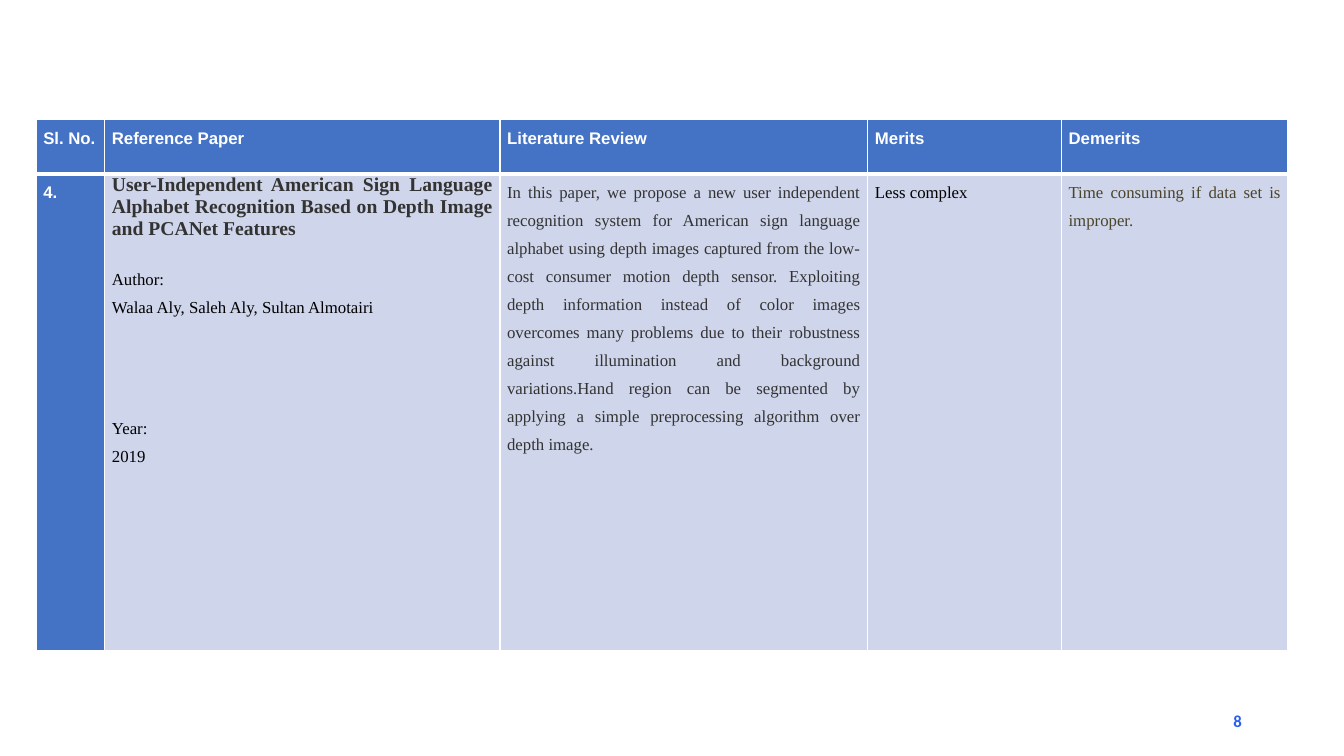
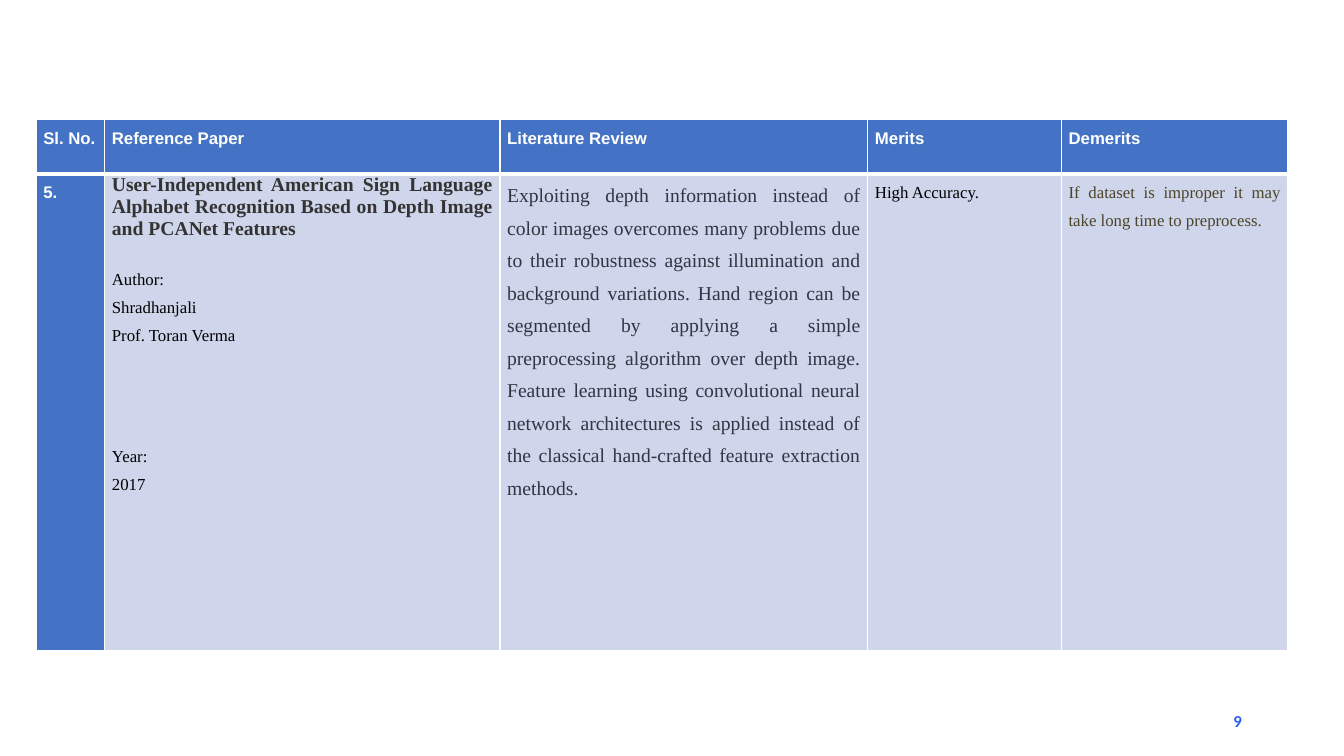
from lxml.etree import SubElement
from pptx import Presentation
from pptx.dml.color import RGBColor
from pptx.enum.text import MSO_ANCHOR as Anchor, PP_ALIGN as Align
from pptx.oxml.ns import qn
from pptx.util import Cm, Pt

BLUE, PALE, WHITE = "4472C4", "CFD5EA", "FFFFFF"
BLACK, GRAY, SLATE, OLIVE, PAGE_BLUE = "000000", "333333", "2E3743", "4A442A", "2B5FF3"
SANS, SERIF, PAGE_FONT = "Arial", "Times New Roman", "Calibri"
HEADINGS = ["Sl. No.", "Reference Paper", "Literature Review", "Merits", "Demerits"]
COLUMNS = [1.73, 9.96, 9.27, 4.88, 5.71]
ROWS = [1.37, 12]
TABLE_BOX = (0.91, 3.02, sum(COLUMNS), sum(ROWS))
PAGE_BOX = (23.93, 17.65, 7.62, 1.02)
PAPER = ("User-Independent American Sign Language Alphabet Recognition "
         "Based on Depth Image and PCANet Features")

REVIEWS = [
    dict(page="8", number="4.", paper=PAPER,
         authors=["Walaa Aly, Saleh Aly, Sultan Almotairi"], year="2019",
         review="In this paper, we propose a new user independent recognition system for "
                "American sign language alphabet using depth images captured from the low-cost "
                "consumer motion depth sensor. Exploiting depth information instead of color "
                "images overcomes many problems due to their robustness against illumination and "
                "background variations.Hand region can be segmented by applying a simple "
                "preprocessing algorithm over depth image.",
         review_format=dict(color=GRAY),
         merits="Less complex", demerits="Time consuming if data set is improper."),
    dict(page="9", number="5.", paper=PAPER,
         authors=["Shradhanjali", "Prof. Toran Verma"], year="2017",
         review="Exploiting depth information instead of color images overcomes many problems "
                "due to their robustness against illumination and background variations. Hand "
                "region can be segmented by applying a simple preprocessing algorithm over depth "
                "image. Feature learning using convolutional neural network architectures is "
                "applied instead of the classical hand-crafted feature extraction methods.",
         review_format=dict(color=SLATE, size=14),
         merits="High Accuracy.",
         demerits="If dataset is improper it may take long time to preprocess."),
]


def rgb(value):
    return RGBColor.from_string(value)


def write(frame, text, size=12, font=SERIF, color=BLACK, bold=False,
          align=Align.JUSTIFY, spacing=1.5, before=0):
    first = frame.paragraphs[0]
    line = frame.add_paragraph() if first.runs else first
    line.alignment = align
    line.line_spacing = spacing
    if before:
        line.space_before = Pt(before)
    run = line.add_run()
    run.text = text
    run.font.size = Pt(size)
    run.font.name = font
    run.font.bold = bold
    run.font.color.rgb = rgb(color)


def style_cell(cell, fill, **borders):
    cell.margin_left = cell.margin_right = Cm(0.18)
    cell.margin_top = cell.margin_bottom = 0
    cell.fill.solid()
    cell.fill.fore_color.rgb = rgb(fill)
    properties = cell._tc.get_or_add_tcPr()
    for place, side in enumerate("LRTB"):
        border = SubElement(properties, qn(f"a:ln{side}"), w=str(Pt(borders.get(side, 1))))
        solid = SubElement(border, qn("a:solidFill"))
        SubElement(solid, qn("a:srgbClr"), val=WHITE)
        properties.insert(place, border)


def write_reference(frame, entry):
    write(frame, entry["paper"], size=14, color=GRAY, bold=True, spacing=1)
    write(frame, "Author:", before=16)
    for author in entry["authors"]:
        write(frame, author)
    write(frame, "Year:", before=66)
    write(frame, entry["year"])


def add_review_table(slide, box, entry):
    table = slide.shapes.add_table(len(ROWS), len(COLUMNS), *map(Cm, box)).table
    table.horz_banding = False
    for column, width in zip(table.columns, COLUMNS):
        column.width = Cm(width)
    for row, height in zip(table.rows, ROWS):
        row.height = Cm(height)
    label = dict(font=SANS, color=WHITE, bold=True)
    for index, heading in enumerate(HEADINGS):
        style_cell(table.cell(0, index), BLUE, B=3)
        write(table.cell(0, index).text_frame, heading, **label)
        style_cell(table.cell(1, index), PALE if index else BLUE, T=3)
    number, reference, review, merits, demerits = [
        table.cell(1, index).text_frame for index in range(len(COLUMNS))]
    write(number, entry["number"], **label)
    write_reference(reference, entry)
    write(review, entry["review"], **entry["review_format"])
    write(merits, entry["merits"])
    write(demerits, entry["demerits"], color=OLIVE)


def add_page_number(slide, box, page):
    frame = slide.shapes.add_textbox(*map(Cm, box)).text_frame
    frame.word_wrap = True
    frame.vertical_anchor = Anchor.MIDDLE
    write(frame, page, font=PAGE_FONT, color=PAGE_BLUE, bold=True, align=Align.RIGHT, spacing=1)


def main():
    deck = Presentation()
    deck.slide_width, deck.slide_height = Cm(33.87), Cm(19.05)
    for entry in REVIEWS:
        slide = deck.slides.add_slide(deck.slide_layouts[6])
        add_page_number(slide, PAGE_BOX, entry["page"])
        add_review_table(slide, TABLE_BOX, entry)
    deck.save("out.pptx")


if __name__ == "__main__":
    main()
